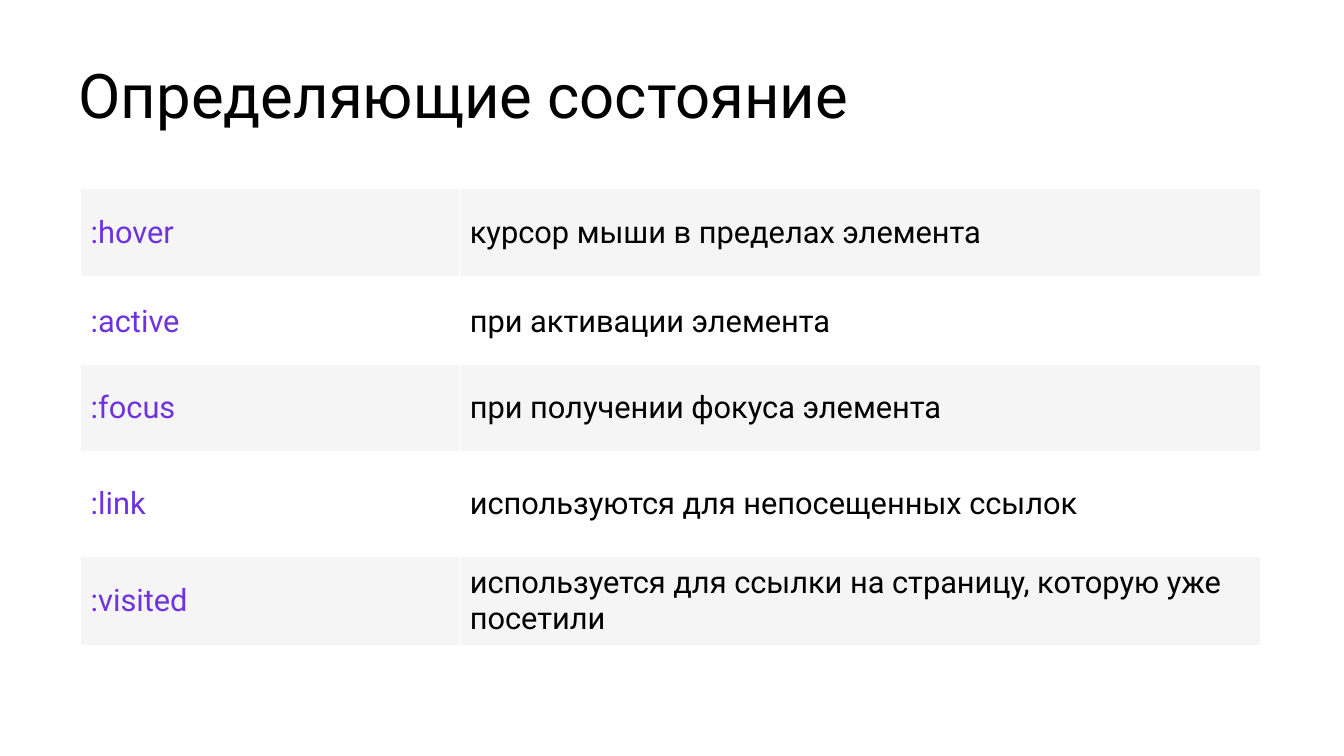
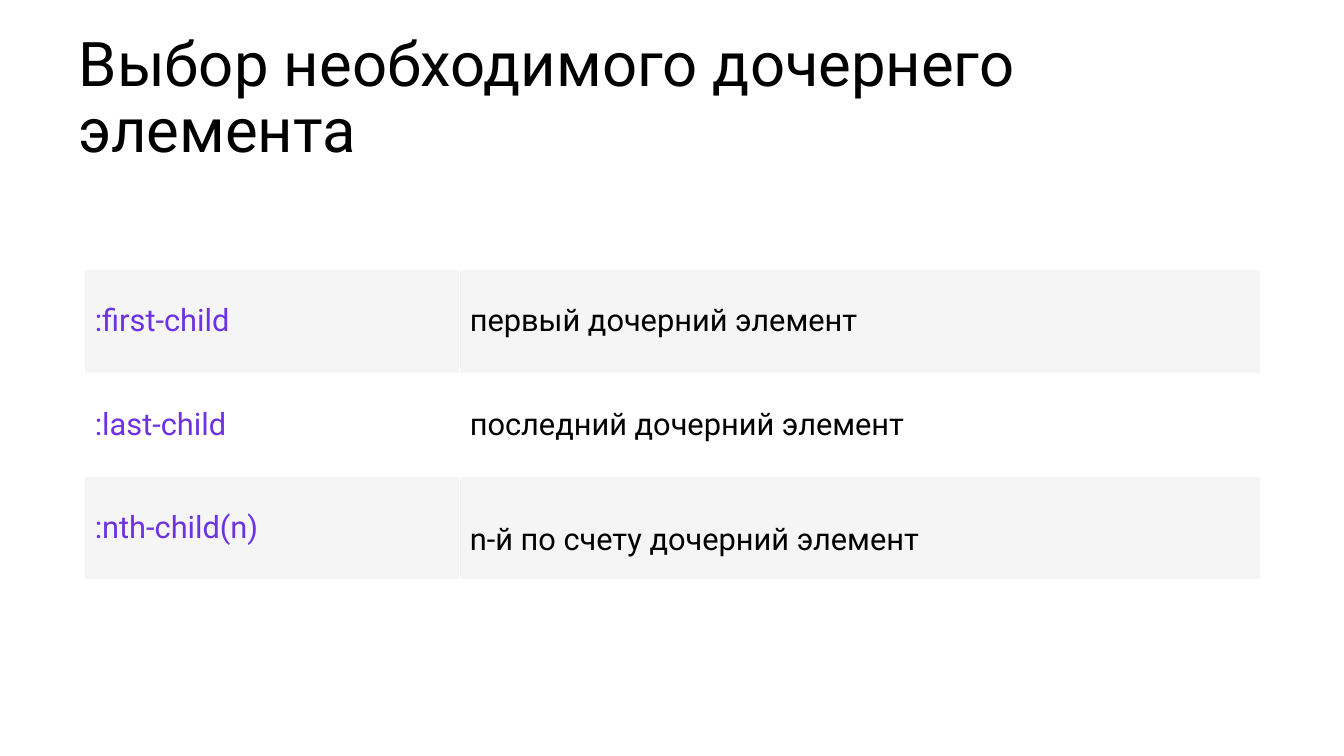
from lxml.etree import SubElement
from pptx import Presentation
from pptx.dml.color import RGBColor
from pptx.enum.text import MSO_ANCHOR, MSO_AUTO_SIZE, PP_ALIGN
from pptx.oxml.ns import qn
from pptx.util import Inches, Pt

# Content: an empty row is a blank header band; "drop" lowers the last text
SLIDES = [
    {
        "title": "Определяющие состояние",
        "depth": 0.86,
        "top": 1.87,
        "left": 0.8,
        "rows": [
            (0.89, ":hover", "курсор мыши в пределах элемента"),
            (0.86, ":active", "при активации элемента"),
            (0.86, ":focus", "при получении фокуса элемента"),
            (1.04, ":link", "используются для непосещенных ссылок"),
            (0.89, ":visited", "используется для ссылки на страницу, которую уже посетили"),
        ],
        "first": 0,
        "drop": 0,
    },
    {
        "title": "Выбор необходимого дочернего элемента",
        "depth": 1.2,
        "top": 2.1,
        "left": 0.84,
        "rows": [
            (0.56, "", ""),
            (1.05, ":first-child", "первый дочерний элемент"),
            (1.02, ":last-child", "последний дочерний элемент"),
            (1.02, ":nth-child(n)", "n-й по счету дочерний элемент"),
        ],
        "first": 1,
        "drop": 0.23,
    },
]

# Shared style
COLORS = {"text": "000000", "code": "6E32E0", "band": "F5F5F5", "white": "FFFFFF"}
FONT = "Roboto"
WIDTH, HEIGHT = 13.33, 7.5
SPLIT, RIGHT = 4.56, 12.5  # column divider and right edge of every table
PAD = 0.05


def color(name):
    return RGBColor.from_string(COLORS[name])


def write(text, frame, size=22, ink="text", spacing=None):
    frame.word_wrap = True
    para = frame.paragraphs[0]
    para.alignment = PP_ALIGN.LEFT
    para.line_spacing = spacing
    run = para.add_run()
    run.text = text
    run.font.size = Pt(size)
    run.font.name = FONT
    run.font.color.rgb = color(ink)


def edge(cell, top, bottom):
    """Draw the four white borders of a cell."""
    props = cell._tc.get_or_add_tcPr()
    for side, points in (("L", 1), ("R", 1), ("T", top), ("B", bottom)):
        line = SubElement(props, qn(f"a:ln{side}"), w=str(Pt(points)))
        fill = SubElement(line, qn("a:solidFill"))
        SubElement(fill, qn("a:srgbClr"), val=COLORS["white"])


def add_title(slide, text, depth):
    title = slide.shapes.title
    title.left, title.top = Inches(0.68), Inches(0.5)
    title.width, title.height = Inches(11.82), Inches(depth)
    frame = title.text_frame
    frame.auto_size = MSO_AUTO_SIZE.NONE
    frame.vertical_anchor = MSO_ANCHOR.BOTTOM
    write(text, frame, size=44, spacing=0.9)


def add_grid(slide, data):
    rows, left = data["rows"], data["left"]
    tall = sum(row[0] for row in rows)
    grid = slide.shapes.add_table(
        len(rows), 2, Inches(left), Inches(data["top"]),
        Inches(RIGHT - left), Inches(tall)).table
    grid.columns[0].width = Inches(SPLIT - left)
    grid.columns[1].width = Inches(RIGHT - SPLIT)

    for r, (height, *texts) in enumerate(rows):
        grid.rows[r].height = Inches(height)
        # Bands alternate from the first row that holds text
        shade = "white" if (r - data["first"]) % 2 else "band"
        for c, text in enumerate(texts):
            cell = grid.cell(r, c)
            edge(cell, top=3 if r == 1 else 1, bottom=3 if r == 0 else 1)
            cell.fill.solid()
            cell.fill.fore_color.rgb = color(shade)
            cell.vertical_anchor = MSO_ANCHOR.MIDDLE
            if text:
                write(text, cell.text_frame, ink="text" if c else "code")
    cell.margin_top = Inches(PAD + data["drop"])


def main():
    deck = Presentation()
    deck.slide_width, deck.slide_height = Inches(WIDTH), Inches(HEIGHT)
    for data in SLIDES:
        slide = deck.slides.add_slide(deck.slide_layouts[5])
        add_title(slide, data["title"], data["depth"])
        add_grid(slide, data)
    deck.save("out.pptx")


if __name__ == "__main__":
    main()
